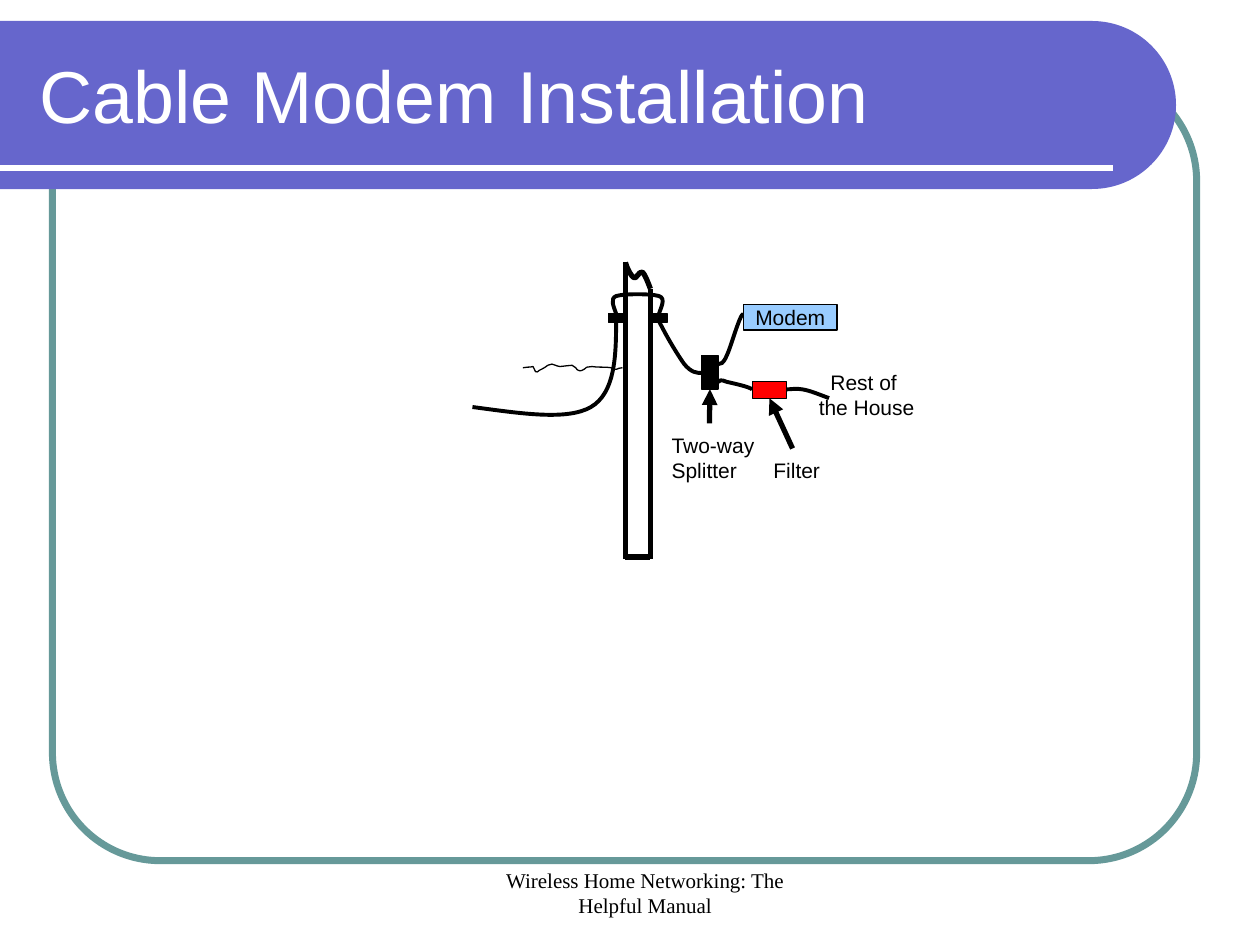
from lxml import etree
from pptx import Presentation
from pptx.dml.color import RGBColor
from pptx.enum.shapes import MSO_CONNECTOR, MSO_SHAPE
from pptx.enum.text import MSO_ANCHOR, PP_ALIGN
from pptx.oxml.ns import qn
from pptx.util import Pt

STRAIGHT = MSO_CONNECTOR.STRAIGHT
RECT, ROUNDED = MSO_SHAPE.RECTANGLE, MSO_SHAPE.ROUNDED_RECTANGLE
LEFT, CENTER = PP_ALIGN.LEFT, PP_ALIGN.CENTER
TOP, MIDDLE, BOTTOM = MSO_ANCHOR.TOP, MSO_ANCHOR.MIDDLE, MSO_ANCHOR.BOTTOM
BOTTOM_SITE = 2

BLACK = RGBColor(0x00, 0x00, 0x00)
WHITE = RGBColor(0xFF, 0xFF, 0xFF)
TEAL = RGBColor(0x66, 0x99, 0x99)
VIOLET = RGBColor(0x66, 0x66, 0xCC)
SKY = RGBColor(0x99, 0xCC, 0xFF)
RED = RGBColor(0xFF, 0x00, 0x00)

TITLE = "Cable Modem Installation"
FOOTER = "Wireless Home Networking: The Helpful Manual"

# Curves: a start point, then two control points and an end point per piece.
BANNER_END = [(624, 12), (650.5, 12), (672, 33.5), (672, 60),
              (672, 86.5), (650.5, 108), (624, 108)]
POLE_LEFT, POLE_RIGHT = 357.4, 371.7
POLE_TOP, POLE_SHOULDER, POLE_BASE, POLE_END = 150, 165, 318.3, 319.7
POLE_BREAK = [(POLE_LEFT, POLE_TOP), (358.6, 154), (360.7, 157.7), (362.2, 158.6),
              (363.6, 160), (365, 154.8), (367.2, 155.5),
              (368.6, 157), (370, 160.5), (POLE_RIGHT, POLE_SHOULDER)]
GROUND = [(298.8, 210.2), (301, 209.5), (302.4, 210.2), (304.6, 209.5),
          (305.3, 210.2), (305.3, 211.7), (306, 212.4),
          (306.7, 213.1), (307.4, 212.4), (308.2, 211.7),
          (315.4, 208.1), (310.3, 209.5), (315.4, 208.1),
          (321.8, 210.2), (317.5, 209.5), (326.9, 208.8),
          (327.6, 209.5), (328.3, 209.5), (329, 210.2),
          (329.8, 211), (329.8, 211.7), (330.5, 211.7),
          (331.2, 212.4), (331.9, 211.7), (332.6, 211.7),
          (337, 209.5), (332.6, 210.2), (338.4, 209.5),
          (342, 210.2), (345.6, 209.5), (349.2, 210.2),
          (352.8, 212.4), (352.1, 210.2), (355.7, 210.2)]
CABLES = {
    "street": [(270, 232.6), (297.4, 236.2), (324, 240.5), (337.7, 232.6),
               (351.4, 224.6), (352.1, 203.8), (352.1, 183.6)],
    "over pole": [(352.1, 179.3), (350.6, 175), (348.5, 170.6), (352.1, 169.2),
                  (356.4, 167.8), (372.2, 167.8), (376.6, 169.2),
                  (380.9, 170.6), (377.3, 176.4), (376.6, 179.3)],
    "to splitter": [(376.6, 183.6), (381.6, 193.7), (387.4, 203), (391, 208.1),
                    (395.3, 213.1), (398.2, 213.1), (401, 213.1)],
    "to modem": [(410.4, 208.1), (411.8, 208.1), (413.3, 208.1), (415.4, 203),
                 (417.6, 198.7), (422.6, 180), (424.8, 179.3)],
    "to filter": [(410.4, 218.2), (411.1, 217.4), (411.8, 216.7), (415.4, 218.2),
                  (418.3, 218.9), (428.4, 221), (429.8, 222.5)],
    "to house": [(449.3, 222.5), (452.2, 222.5), (455, 221.8), (458.6, 222.5),
                 (463, 223.2), (468, 225.4), (473.8, 227.5)],
}
DEVICES = {
    "left insulator": ((347.8, 179.3, 9.4, 5), BLACK),
    "right insulator": ((POLE_RIGHT, 179.3, 9.4, 5), BLACK),
    "splitter": ((401, 203, 9.4, 19.4), BLACK),
    "modem": ((425, 174.2, 53.3, 14.4), SKY),
    "filter": ((430, 218.2, 19.4, 9.4), RED),
}
LABELS = [
    (["Rest of ", "the House"], (457.2, 218.2, 76, 14.4), CENTER, MIDDLE),
    (["Two-way", "Splitter"], (376.7, 243.4, 61.9, 36), LEFT, TOP),
    (["Filter"], (434.9, 257.8, 41, 21.6), LEFT, TOP),
]
POINTERS = [("splitter", (405.4, 241.9)), ("filter", (452.9, 256.3))]


def pts(values):
    return [Pt(value) for value in values]


def write(shape, lines, size=12, font="Arial", color=BLACK, align=LEFT,
          anchor=TOP, wrap=False, margin_left=0):
    frame = shape.text_frame
    frame.word_wrap = wrap
    frame.vertical_anchor = anchor
    for index, line in enumerate(lines):
        paragraph = frame.add_paragraph() if index else frame.paragraphs[0]
        paragraph.alignment = align
        if margin_left:
            properties = paragraph._p.get_or_add_pPr()
            properties.set("marL", str(Pt(margin_left)))
            properties.set("indent", "0")
        run = paragraph.add_run()
        run.text = line
        run.font.size = Pt(size)
        run.font.name = font
        run.font.color.rgb = color


def paint(shape, fill=None, line=None, weight=0.75):
    shape.shadow.inherit = False
    if fill is None:
        shape.fill.background()
    else:
        shape.fill.solid()
        shape.fill.fore_color.rgb = fill
    if line is None:
        shape.line.fill.background()
    else:
        shape.line.color.rgb = line
        shape.line.width = Pt(weight)


def add_line(shapes, start, end, color=BLACK, weight=3):
    line = shapes.add_connector(STRAIGHT, *pts(start + end))
    line.line.color.rgb = color
    line.line.width = Pt(weight)
    etree.SubElement(line._element.spPr, qn("a:effectLst"))
    return line


def add_curve(shapes, curve, before=(), after=(), close=False, **look):
    """Draw Bezier pieces, with straight sides through the points before and after."""
    corners = [pts(point) for point in [*before, *curve, *after]]
    builder = shapes.build_freeform(*corners[0])
    builder.add_line_segments(corners[1:], close=close)
    shape = builder.convert_to_shape()
    segments = list(shape._element.iter(qn("a:lnTo")))
    first = len(before)
    for start in range(first, first + len(curve) - 1, 3):
        bezier = etree.Element(qn("a:cubicBezTo"))
        segments[start].addprevious(bezier)
        for segment in segments[start:start + 3]:
            bezier.append(segment[0])
            segment.getparent().remove(segment)
    paint(shape, **look)


def add_backdrop(shapes):
    border = shapes.add_shape(ROUNDED, *pts((30, 41.8, 653.8, 450)))
    border.adjustments[0] = 0.137
    paint(border, line=TEAL, weight=4)
    add_curve(shapes, BANNER_END, before=[(0, 12)], after=[(0, 108)],
              close=True, fill=VIOLET)
    add_line(shapes, (0, 96), (636, 96), WHITE)
    write(shapes.add_textbox(*pts((15.4, 18, 631.5, 72))), [TITLE],
          size=42, color=WHITE, anchor=MIDDLE, wrap=True)
    write(shapes.add_textbox(*pts((246, 491.8, 228.2, 36))), [FOOTER],
          font="Times New Roman", align=CENTER, anchor=BOTTOM, wrap=True,
          margin_left=17.3)


def add_installation(shapes):
    add_line(shapes, (POLE_LEFT, POLE_TOP), (POLE_LEFT, POLE_END))
    add_line(shapes, (POLE_RIGHT, POLE_SHOULDER), (POLE_RIGHT, POLE_END))
    add_line(shapes, (POLE_LEFT, POLE_BASE), (POLE_RIGHT, POLE_BASE))
    add_curve(shapes, POLE_BREAK, line=BLACK, weight=3)
    add_curve(shapes, GROUND, line=BLACK)
    for cable in CABLES.values():
        add_curve(shapes, cable, line=BLACK, weight=2.25)

    devices = {}
    for name, (box, fill) in DEVICES.items():
        devices[name] = shapes.add_shape(RECT, *pts(box))
        paint(devices[name], fill=fill, line=BLACK)
    write(devices["modem"], ["Modem"], align=CENTER, anchor=MIDDLE)

    for lines, box, align, anchor in LABELS:
        write(shapes.add_textbox(*pts(box)), lines, align=align, anchor=anchor)
    for name, start in POINTERS:
        arrow = add_line(shapes, start, start)
        arrow.end_connect(devices[name], BOTTOM_SITE)
        etree.SubElement(arrow.line._get_or_add_ln(), qn("a:tailEnd"), type="triangle")


def main():
    deck = Presentation()
    deck.slide_width, deck.slide_height = Pt(720), Pt(540)
    slide = deck.slides.add_slide(deck.slide_layouts[6])
    add_backdrop(slide.shapes)
    add_installation(slide.shapes)
    deck.save("out.pptx")


if __name__ == "__main__":
    main()
